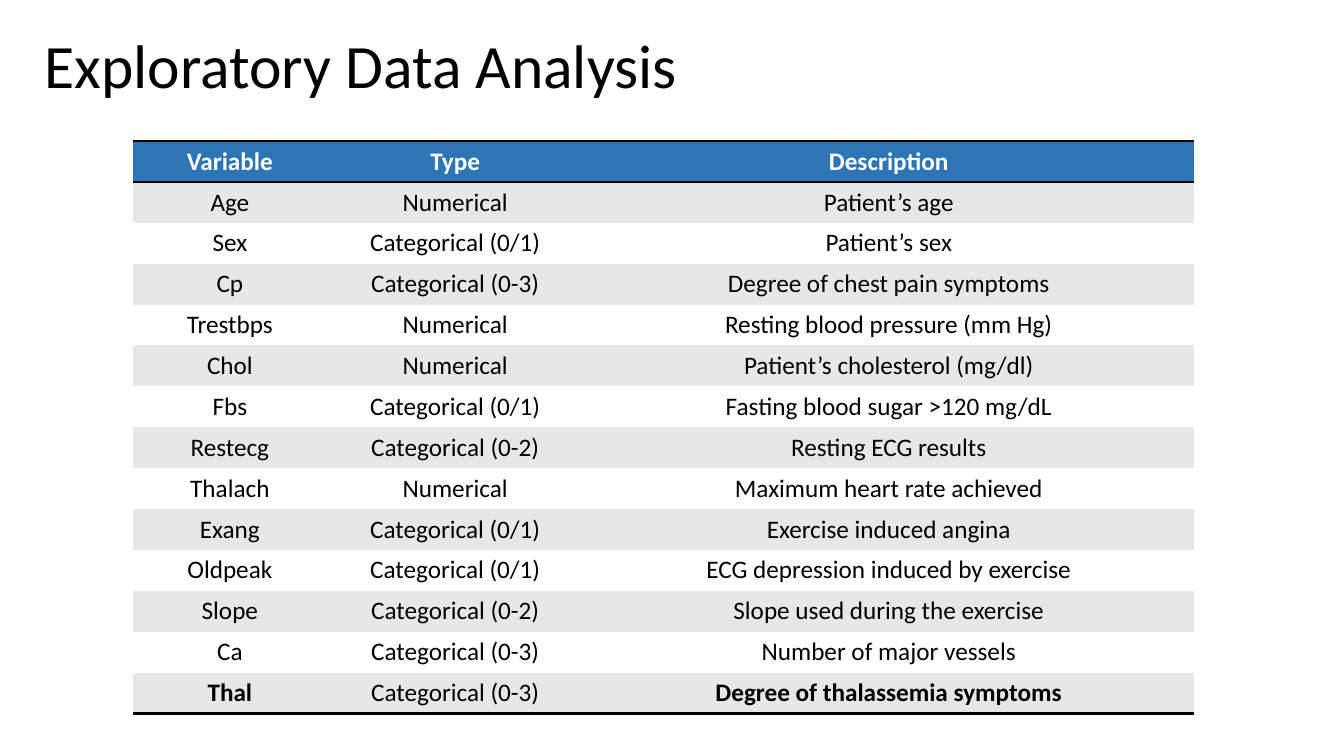
"""Build the slide that lists the variables of the heart data set."""
from dataclasses import dataclass

from lxml import etree
from pptx import Presentation
from pptx import util as u
from pptx.dml import color
from pptx.enum import text
from pptx.oxml import ns

PX = 9144
FONT = "Calibri"
PLAIN = "{2D5ABB26-0587-4C30-8999-92F81FD0307C}"
HEX = {"head": "2E75B6", "band": "E7E7E7", "white": "FFFFFF", "black": "000000"}
COLS = (192, 255, 605)
ROW = 40


@dataclass(frozen=True)
class Row:
    name: str
    kind: str
    note: str
    fill: str = ""
    ink: str = "black"
    bold: tuple[bool, bool, bool] = (False, False, False)
    rules: tuple[str, ...] = ()


ROWS = [
    Row("Variable", "Type", "Description", "head", "white", (True, True, True), ("lnT", "lnB")),
    Row("Age", "Numerical", "Patient’s age"),
    Row("Sex", "Categorical (0/1)", "Patient’s sex"),
    Row("Cp", "Categorical (0-3)", "Degree of chest pain symptoms"),
    Row("Trestbps", "Numerical", "Resting blood pressure (mm Hg)"),
    Row("Chol", "Numerical", "Patient’s cholesterol (mg/dl)"),
    Row("Fbs", "Categorical (0/1)", "Fasting blood sugar >120 mg/dL"),
    Row("Restecg", "Categorical (0-2)", "Resting ECG results"),
    Row("Thalach", "Numerical", "Maximum heart rate achieved"),
    Row("Exang", "Categorical (0/1)", "Exercise induced angina"),
    Row("Oldpeak", "Categorical (0/1)", "ECG depression induced by exercise"),
    Row("Slope", "Categorical (0-2)", "Slope used during the exercise"),
    Row("Ca", "Categorical (0-3)", "Number of major vessels"),
    Row("Thal", "Categorical (0-3)", "Degree of thalassemia symptoms",
        bold=(True, False, True), rules=("lnB",)),
]


def px(num: int) -> u.Emu:
    return u.Emu(num * PX)


def write(frame, words: str, *, size: int, ink: str = "black", bold: bool = False,
          align=text.PP_ALIGN.LEFT, space: float = 1.0) -> None:
    para = frame.paragraphs[0]
    para.alignment = align
    para.line_spacing = space
    run = para.add_run()
    run.text = words
    run.font.name = FONT
    run.font.size = u.Pt(size)
    run.font.bold = bold
    run.font.color.rgb = color.RGBColor.from_string(HEX[ink])


def rule(cell, tags: tuple[str, ...]) -> None:
    props = cell._tc.get_or_add_tcPr()
    for spot, tag in enumerate(tags):
        line = etree.Element(ns.qn(f"a:{tag}"), w=str(u.Pt(2)))
        fill = etree.SubElement(line, ns.qn("a:solidFill"))
        etree.SubElement(fill, ns.qn("a:srgbClr"), val=HEX["black"])
        props.insert(spot, line)


def draw_title(slide, words: str) -> None:
    title = slide.shapes.title
    title.left, title.top, title.width, title.height = map(px, (34, -4, 1150, 145))
    title.text_frame.vertical_anchor = text.MSO_ANCHOR.MIDDLE
    write(title.text_frame, words, size=44, space=0.9)


def draw_table(slide, rows: list[Row]) -> None:
    box = map(px, (132, 140, sum(COLS), ROW * len(rows)))
    table = slide.shapes.add_table(len(rows), len(COLS), *box).table
    table.first_row = table.horz_banding = False
    table._tbl.tblPr.find(ns.qn("a:tableStyleId")).text = PLAIN
    for col, width in zip(table.columns, COLS):
        col.width = px(width)
    for i, row in enumerate(rows):
        tint = row.fill or ("band" if i % 2 else "white")
        for j, words in enumerate((row.name, row.kind, row.note)):
            cell = table.cell(i, j)
            cell.fill.solid()
            cell.fill.fore_color.rgb = color.RGBColor.from_string(HEX[tint])
            write(cell.text_frame, words, size=18, ink=row.ink, bold=row.bold[j],
                  align=text.PP_ALIGN.CENTER)
            rule(cell, row.rules)


def main() -> None:
    deck = Presentation()
    deck.slide_width, deck.slide_height = px(1333), px(750)
    slide = deck.slides.add_slide(deck.slide_layouts.get_by_name("Title Only"))
    draw_title(slide, "Exploratory Data Analysis")
    draw_table(slide, ROWS)
    deck.save("out.pptx")


if __name__ == "__main__":
    main()
